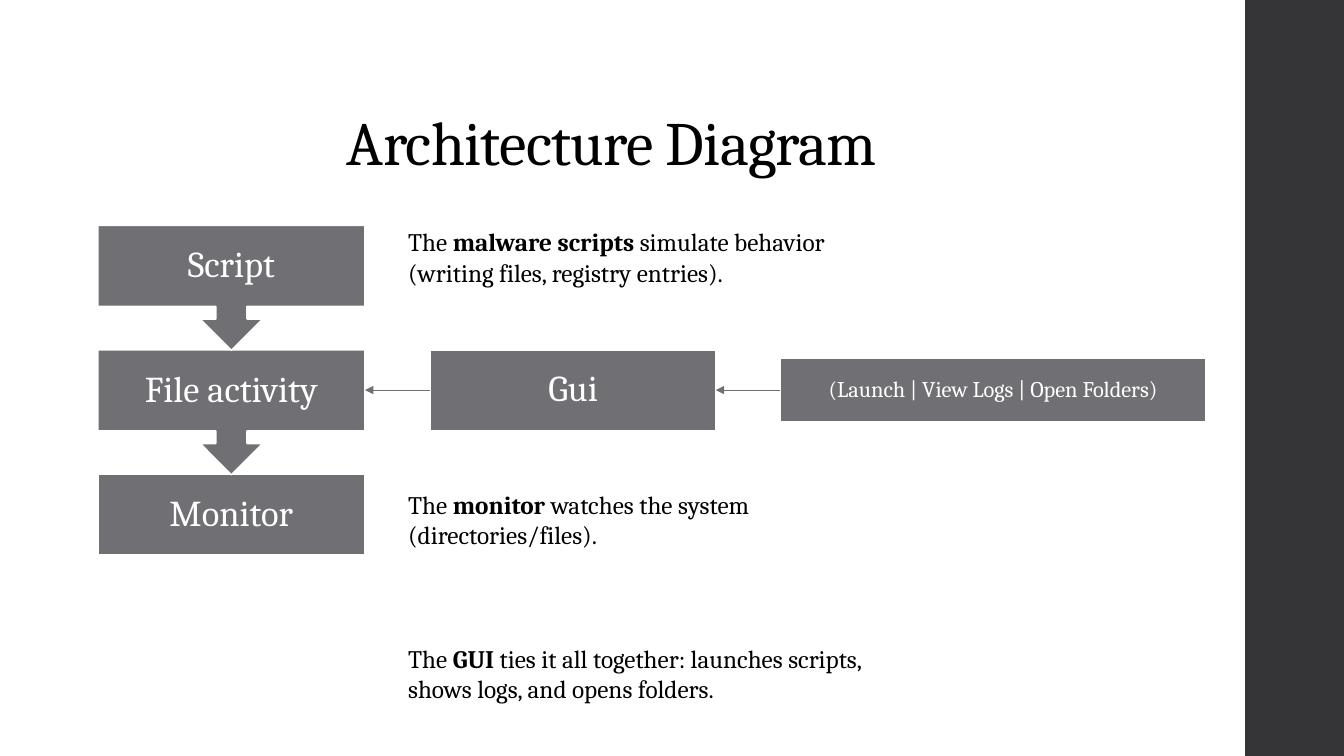
from lxml import etree
from pptx import Presentation
from pptx.dml.color import RGBColor
from pptx.enum.shapes import MSO_CONNECTOR, MSO_SHAPE
from pptx.enum.text import MSO_ANCHOR, MSO_AUTO_SIZE, PP_ALIGN
from pptx.oxml.ns import qn
from pptx.util import Inches, Pt

RECTANGLE = MSO_SHAPE.RECTANGLE
DOWN_CALLOUT = MSO_SHAPE.DOWN_ARROW_CALLOUT
STRAIGHT = MSO_CONNECTOR.STRAIGHT
MIDDLE, BOTTOM = MSO_ANCHOR.MIDDLE, MSO_ANCHOR.BOTTOM
LEFT, CENTER = PP_ALIGN.LEFT, PP_ALIGN.CENTER
FIT_SHAPE, NO_FIT = MSO_AUTO_SIZE.SHAPE_TO_FIT_TEXT, MSO_AUTO_SIZE.NONE

FONT = "Cambria"
GREY, DARK, WHITE, BLACK = "6F6F74", "353537", "FFFFFF", "000000"
TITLE_ONLY = 5
LEFT_SIDE, RIGHT_SIDE = 1, 3

FLOW_LEFT, FLOW_TOP, FLOW_WIDTH = 0.97, 2.235, 2.65
FLOW_PITCH = 1.235
BOX_HEIGHT, CALLOUT_HEIGHT = 0.8, 1.24
CAPTION_LEFT = 3.95
CAPTIONS = [
    (2.2, 4.87, "malware scripts", " simulate behavior (writing files, registry entries)."),
    (4.8, 4.87, "monitor", " watches the system (directories/files)."),
    (6.33, 5.14, "GUI", " ties it all together: launches scripts, shows logs, and opens folders."),
]


def color(hex_code):
    return RGBColor.from_string(hex_code)


def write(frame, *parts, size, ink=BLACK, align=LEFT, line_spacing=1.0, tracking=None):
    """Fill the first paragraph with (text, bold) parts."""
    frame.word_wrap = True
    paragraph = frame.paragraphs[0]
    paragraph.alignment = align
    paragraph.line_spacing = line_spacing
    for text, bold in parts:
        run = paragraph.add_run()
        run.text = text
        run.font.name = FONT
        run.font.size = Pt(size)
        run.font.bold = bold
        run.font.color.rgb = color(ink)
        if tracking is not None:
            run._r.get_or_add_rPr().set("spc", str(round(tracking * 100)))


def add_block(slide, kind, left, top, width, height, fill=GREY, outline=None):
    block = slide.shapes.add_shape(
        kind, Inches(left), Inches(top), Inches(width), Inches(height))
    block.shadow.inherit = False
    block.fill.solid()
    block.fill.fore_color.rgb = color(fill)
    if outline:
        block.line.color.rgb = color(outline)
        block.line.width = Pt(1.1)
    else:
        block.line.fill.background()
    return block


def add_step(slide, label, kind, left, top, width, height, size=26, inset=0.1):
    step = add_block(slide, kind, left, top, width, height, outline=WHITE)
    frame = step.text_frame
    frame.vertical_anchor = MIDDLE
    frame.margin_left = frame.margin_right = Inches(inset)
    frame.margin_top = frame.margin_bottom = Inches(inset)
    write(frame, (label, False), size=size, ink=WHITE, align=CENTER, line_spacing=0.9)
    return step


def add_arrow(slide, source, end_x, y, target=None):
    """Draw an arrow leftwards from the source, joined to the target if given."""
    arrow = slide.shapes.add_connector(
        STRAIGHT, source.left, Inches(y), Inches(end_x), Inches(y))
    arrow.begin_connect(source, LEFT_SIDE)
    if target is not None:
        arrow.end_connect(target, RIGHT_SIDE)
    arrow.line.color.rgb = color(GREY)
    arrow.line.width = Pt(0.75)
    etree.SubElement(arrow.line._get_or_add_ln(), qn("a:tailEnd"), type="triangle")
    etree.SubElement(arrow._element.spPr, qn("a:effectLst"))


def add_caption(slide, top, width, term, rest):
    caption = slide.shapes.add_textbox(
        Inches(CAPTION_LEFT), Inches(top), Inches(width), Inches(0.71))
    write(caption.text_frame, ("The ", False), (term, True), (rest, False), size=18)
    caption.text_frame.auto_size = FIT_SHAPE


def set_title(slide, text):
    title = slide.shapes.title
    title.left, title.top = Inches(3.34), Inches(0.89)
    title.width, title.height = Inches(6.66), Inches(0.93)
    title.text_frame.vertical_anchor = BOTTOM
    title.text_frame.auto_size = NO_FIT
    write(title.text_frame, (text, False), size=44, line_spacing=0.9, tracking=-0.5)


def main():
    deck = Presentation()
    deck.slide_width, deck.slide_height = Inches(13.33), Inches(7.5)
    slide = deck.slides.add_slide(deck.slide_layouts[TITLE_ONLY])

    add_block(slide, RECTANGLE, 12.35, 0, 0.98, 7.5, fill=DARK)
    set_title(slide, "Architecture Diagram")

    flow_tops = [FLOW_TOP + FLOW_PITCH * row for row in range(3)]
    script_top, activity_top, monitor_top = flow_tops
    add_step(slide, "Monitor", RECTANGLE, FLOW_LEFT, monitor_top, FLOW_WIDTH, BOX_HEIGHT)
    for label, top in (("File activity", activity_top), ("Script", script_top)):
        add_step(slide, label, DOWN_CALLOUT, FLOW_LEFT, top, FLOW_WIDTH, CALLOUT_HEIGHT)

    middle = activity_top + BOX_HEIGHT / 2
    actions = add_step(slide, "(Launch | View Logs | Open Folders)", RECTANGLE,
                       7.74, middle - 0.315, 4.22, 0.63, size=16)
    gui = add_step(slide, "Gui", RECTANGLE, 4.27, activity_top, 2.83, BOX_HEIGHT)
    add_arrow(slide, actions, 7.1, middle, target=gui)
    add_arrow(slide, gui, FLOW_LEFT + FLOW_WIDTH, middle)

    for caption in CAPTIONS:
        add_caption(slide, *caption)

    deck.save("out.pptx")


if __name__ == "__main__":
    main()
